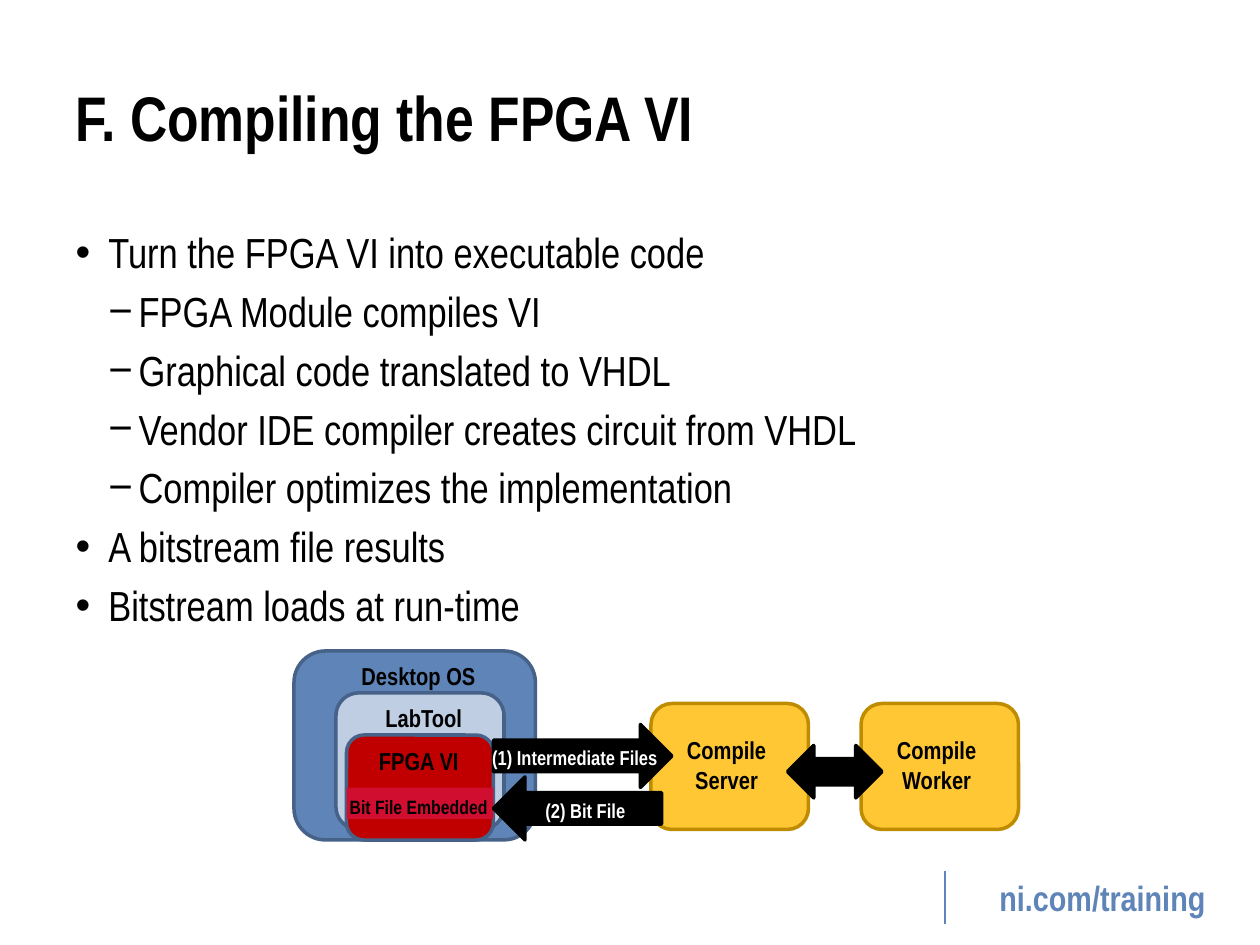
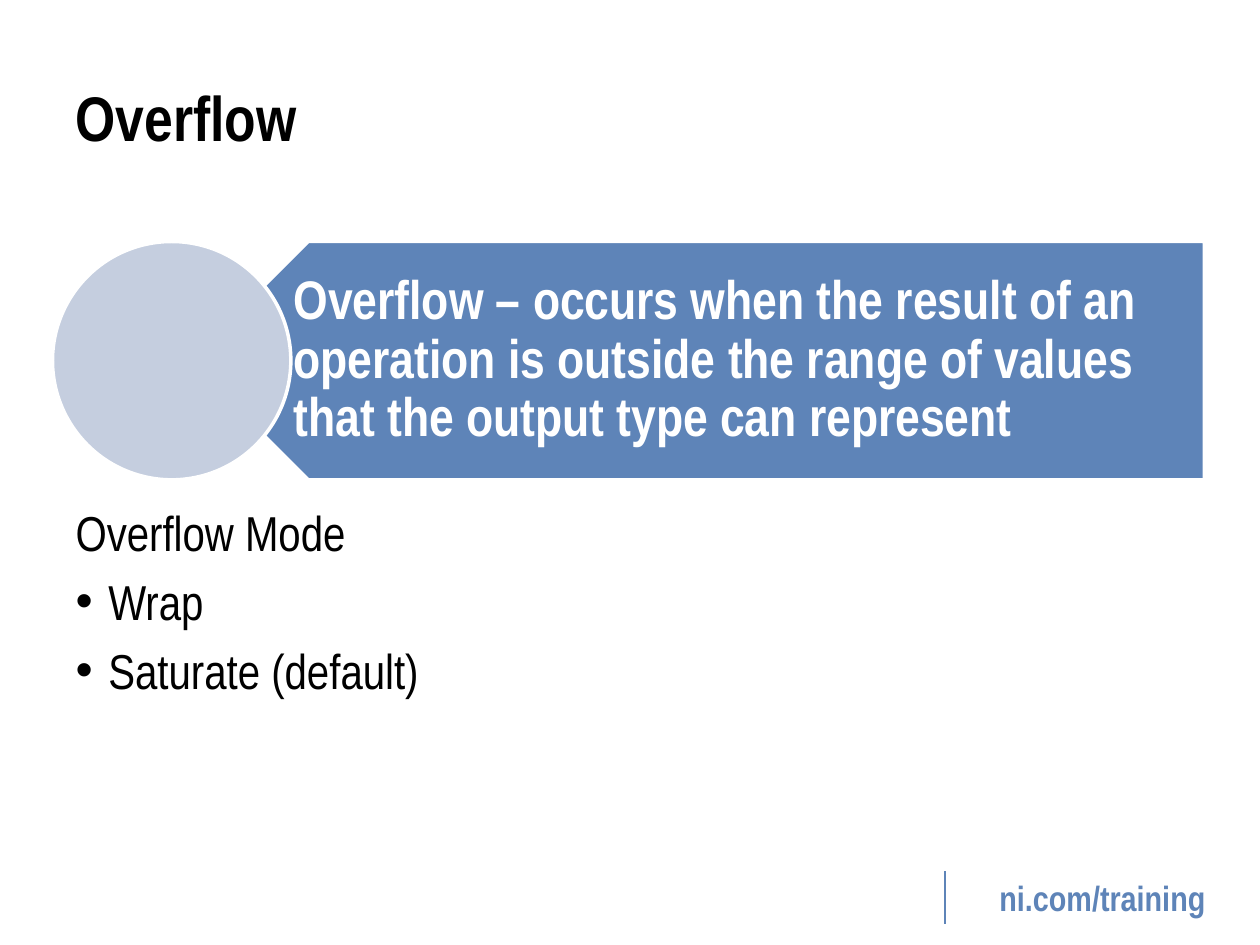
from pptx import Presentation
from pptx.dml.color import RGBColor
from pptx.enum.shapes import MSO_CONNECTOR, MSO_SHAPE as Shape
from pptx.enum.text import MSO_ANCHOR as Anchor, MSO_AUTO_SIZE, PP_ALIGN as Align
from pptx.oxml.xmlchemy import OxmlElement
from pptx.util import Inches, Pt

WIDTH, HEIGHT = Inches(10), Inches(7.5)
COLUMN, ROW = WIDTH / 120, HEIGHT / 90
FONT = "Arial Narrow"
COLORS = {
    "black": "000000",
    "white": "FFFFFF",
    "blue": "5E84B8",
    "blue edge": "466288",
    "light blue": "BFCEE3",
    "pale blue": "C5CEDF",
    "yellow": "FFC733",
    "yellow edge": "BF8C00",
    "red": "C00000",
    "bright red": "CF0E30",
}
BULLETS = {0: ("", 0, 0), 1: ("•", 0.26, 0.26), 2: ("−", 0.5, 0.24)}


def color(name):
    return RGBColor.from_string(COLORS[name])


def cells(left, top, width, height):
    return [round(value * unit) for value, unit in
            zip((left, top, width, height), (COLUMN, ROW, COLUMN, ROW))]


def place(shape, area):
    shape.left, shape.top, shape.width, shape.height = cells(*area)


def set_bullet(paragraph, level):
    mark, indent, hanging = BULLETS[level]
    paragraph.level = max(level - 1, 0)
    properties = paragraph._p.get_or_add_pPr()
    properties.set("marL", str(Inches(indent)))
    properties.set("indent", str(-Inches(hanging)))
    bullet = OxmlElement("a:buChar" if mark else "a:buNone")
    if mark:
        bullet.set("char", mark)
    properties.append(bullet)


def write(shape, lines, *, size=14, ink="black", bold=True, align=Align.CENTER,
          anchor=Anchor.MIDDLE, margins=(0, 0, 0, 0), wrap=True, spacing=None,
          levels=None, gap=0):
    frame = shape.text_frame
    frame.auto_size = MSO_AUTO_SIZE.NONE
    frame.word_wrap = wrap
    frame.vertical_anchor = anchor
    (frame.margin_left, frame.margin_top,
     frame.margin_right, frame.margin_bottom) = map(Inches, margins)
    for index, line in enumerate(lines):
        paragraph = frame.add_paragraph() if index else frame.paragraphs[0]
        paragraph.alignment = align
        if spacing:
            paragraph.line_spacing = spacing
        paragraph.space_before = Pt(gap if index else 0)
        if levels:
            set_bullet(paragraph, levels[index])
        run = paragraph.add_run()
        run.text = line
        run.font.name, run.font.size, run.font.bold = FONT, Pt(size), bold
        run.font.color.rgb = color(ink)


def add_box(slide, kind, area, fill, edge=None, lines=(), **text_format):
    shape = slide.shapes.add_shape(kind, *cells(*area))
    shape.shadow.inherit = False
    shape.fill.solid()
    shape.fill.fore_color.rgb = color(fill)
    if edge:
        shape.line.color.rgb = color(edge)
        shape.line.width = Pt(2)
    else:
        shape.line.fill.background()
    if lines:
        write(shape, lines, wrap=False, **text_format)
    return shape


def add_text(slide, area, lines, **text_format):
    write(slide.shapes.add_textbox(*cells(*area)), lines, **text_format)


def add_footer(slide):
    add_text(slide, (92, 82.8, 26, 5.3), ["ni.com/training"], size=20, ink="blue")
    x = round(90 * COLUMN)
    rule = slide.shapes.add_connector(
        MSO_CONNECTOR.STRAIGHT, x, round(83 * ROW), x, round(88 * ROW))
    rule.line.color.rgb = color("blue")
    rule.line.width = Pt(1.5)
    rule._element.spPr.append(OxmlElement("a:effectLst"))


def add_slide(presentation, title, items, size, top):
    slide = presentation.slides.add_slide(presentation.slide_layouts[1])
    heading, body = slide.placeholders
    place(heading, (6, 3.6, 108, 15))
    write(heading, [title], size=36, align=Align.LEFT, margins=(0.1, 0.05, 0.1, 0.05))
    place(body, (6, top, 108, 78 - top))
    levels, lines = zip(*items)
    write(body, lines, size=size, bold=False, align=Align.LEFT, anchor=Anchor.TOP,
          margins=(0.1, 0.05, 0.1, 0.05), levels=levels, gap=size * 0.2)
    add_footer(slide)
    return slide


def add_compile_diagram(slide):
    hosts = [
        ("Desktop OS", (28, 62, 23, 18), "blue", (0.06, 0.01, 0, 0)),
        ("LabTool", (32, 66, 16, 13), "light blue", (0.06, 0.03, 0, 0)),
        ("FPGA VI", (33, 70, 14, 10), "red", (0, 0.05, 0.02, 0)),
    ]
    for name, area, fill, margins in hosts:
        add_box(slide, Shape.ROUNDED_RECTANGLE, area, fill, "blue edge", [name],
                anchor=Anchor.TOP, margins=margins)
    add_box(slide, Shape.RECTANGLE, (33, 75, 14, 3), "bright red",
            lines=["Bit File Embedded"], size=11, margins=(0, 0.05, 0.02, 0))

    for column, role in ((62, "Server"), (82, "Worker")):
        add_box(slide, Shape.ROUNDED_RECTANGLE, (column, 67, 15, 12), "yellow",
                "yellow edge", ["Compile", role], margins=(0, 0, 0.05, 0.03))

    arrows = [
        (Shape.RIGHT_ARROW, (47, 69, 17, 6), ["(1) Intermediate Files"]),
        (Shape.LEFT_ARROW, (47, 74, 16, 6), ["(2) Bit File"]),
        (Shape.LEFT_RIGHT_ARROW, (75, 71, 9, 5), []),
    ]
    for kind, area, lines in arrows:
        add_box(slide, kind, area, "black", "black", lines, size=11.5, ink="white",
                margins=(0, 0.03, 0, 0))


def add_definition(slide, definition):
    top, height = 23, 22.7
    band = (18, top, 96.7, height)
    add_box(slide, Shape.PENTAGON, band, "blue", "white").rotation = 180
    add_text(slide, band, [definition], size=31, ink="white", align=Align.LEFT,
             margins=(0.83, 0.13, 0.24, 0.13), spacing=0.9)
    add_box(slide, Shape.OVAL, (5, top, height, height), "pale blue", "white")


def main():
    presentation = Presentation()
    presentation.slide_width, presentation.slide_height = WIDTH, HEIGHT

    compiling = add_slide(presentation, "F. Compiling the FPGA VI", [
        (1, "Turn the FPGA VI into executable code"),
        (2, "FPGA Module compiles VI"),
        (2, "Graphical code translated to VHDL"),
        (2, "Vendor IDE compiler creates circuit from VHDL"),
        (2, "Compiler optimizes the implementation"),
        (1, "A bitstream file results"),
        (1, "Bitstream loads at run-time"),
    ], size=24, top=21)
    add_compile_diagram(compiling)

    overflow = add_slide(presentation, "Overflow", [
        (0, "Overflow Mode"),
        (1, "Wrap"),
        (1, "Saturate (default)"),
    ], size=28, top=47.3)
    add_definition(overflow, "Overflow – occurs when the result of an operation is "
                   "outside the range of values that the output type can represent")

    presentation.save("out.pptx")


if __name__ == "__main__":
    main()
